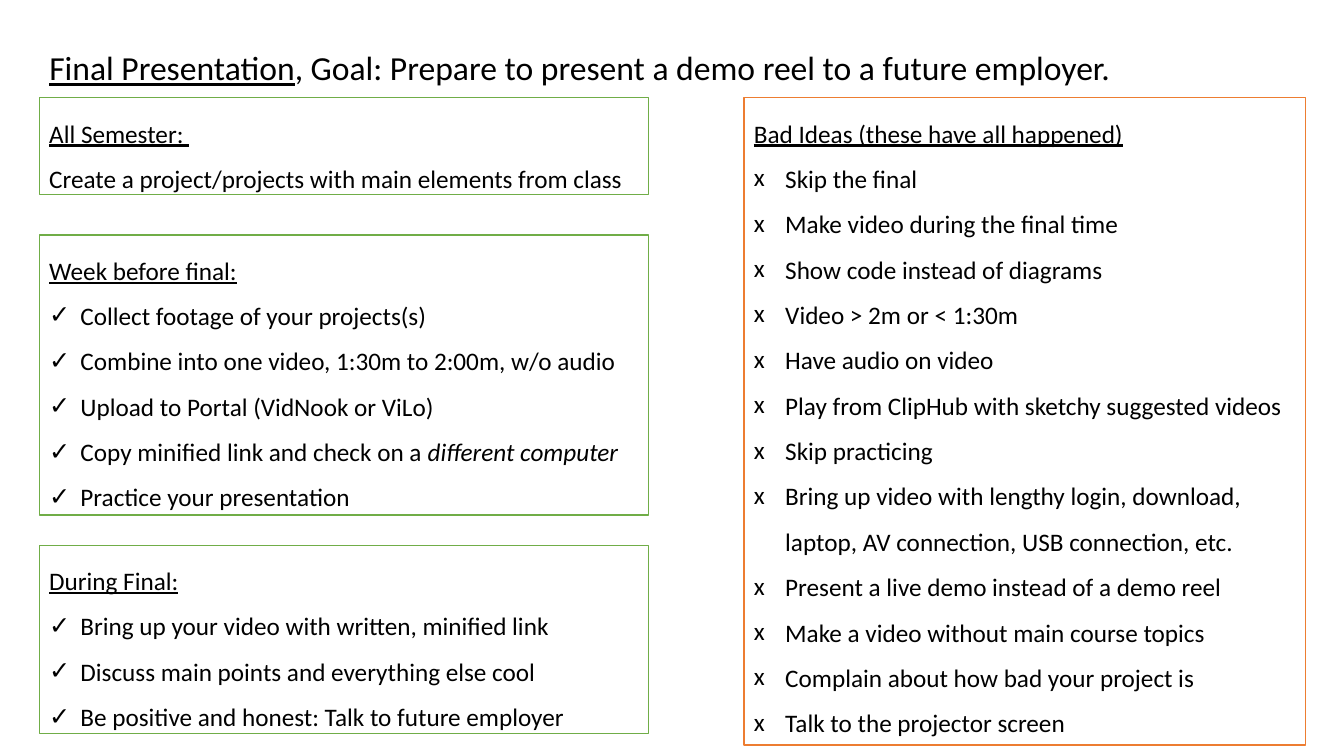
import pptx
import pptx.dml.color
import pptx.enum.shapes
import pptx.enum.text
import pptx.oxml.ns
import pptx.util
from lxml import etree

Inches = pptx.util.Inches
Pt = pptx.util.Pt
RGBColor = pptx.dml.color.RGBColor

BLACK = RGBColor(0x00, 0x00, 0x00)
WHITE = RGBColor(0xFF, 0xFF, 0xFF)
GREEN = RGBColor(0x70, 0xAD, 0x47)
ORANGE = RGBColor(0xED, 0x7D, 0x31)

FONT = "Calibri"
CHECK, CROSS = "✓", "x"
LEFT, LEFT_WIDTH = 0.39, 6.04
RIGHT, RIGHT_WIDTH = 7.38, 5.57


def add_run(paragraph, text, size=18, underline=False, italic=False):
    run = paragraph.add_run()
    run.text = text
    run.font.name = FONT
    run.font.size = Pt(size)
    run.font.color.rgb = BLACK
    run.font.underline = underline
    run.font.italic = italic


def set_bullet(paragraph, character):
    properties = paragraph._p.get_or_add_pPr()
    properties.set("marL", str(Inches(0.31)))
    properties.set("indent", str(-Inches(0.31)))
    qualify = pptx.oxml.ns.qn
    etree.SubElement(properties, qualify("a:buFont")).set("typeface", FONT)
    etree.SubElement(properties, qualify("a:buChar")).set("char", character)


def prepare_frame(shape):
    frame = shape.text_frame
    frame.word_wrap = True
    frame.auto_size = pptx.enum.text.MSO_AUTO_SIZE.SHAPE_TO_FIT_TEXT
    frame.vertical_anchor = pptx.enum.text.MSO_ANCHOR.TOP
    return frame


def format_paragraph(paragraph):
    paragraph.line_spacing = 1.5
    paragraph.alignment = pptx.enum.text.PP_ALIGN.LEFT


def add_title(slide, box):
    shape = slide.shapes.add_textbox(*map(Inches, box))
    paragraph = prepare_frame(shape).paragraphs[0]
    format_paragraph(paragraph)
    add_run(paragraph, "Final Presentation", 24, underline=True)
    add_run(paragraph, ", Goal: Prepare to present a demo reel to a future employer.", 24)


def add_panel(slide, box, color, heading, items, bullet=None):
    """Outlined box with an underlined heading; an item is text or (text, italic text)."""
    shape = slide.shapes.add_shape(
        pptx.enum.shapes.MSO_SHAPE.RECTANGLE, *map(Inches, box))
    shape.shadow.inherit = False
    shape.fill.solid()
    shape.fill.fore_color.rgb = WHITE
    shape.line.color.rgb = color
    shape.line.width = Pt(1)
    frame = prepare_frame(shape)
    format_paragraph(frame.paragraphs[0])
    add_run(frame.paragraphs[0], heading, underline=True)
    for item in items:
        paragraph = frame.add_paragraph()
        format_paragraph(paragraph)
        if bullet:
            set_bullet(paragraph, bullet)
        plain, emphasis = (item, "") if isinstance(item, str) else item
        add_run(paragraph, plain)
        if emphasis:
            add_run(paragraph, emphasis, italic=True)


presentation = pptx.Presentation()
presentation.slide_width = Inches(13.33)
presentation.slide_height = Inches(7.5)
slide = presentation.slides.add_slide(presentation.slide_layouts[6])

add_title(slide, (LEFT, 0.22, 12.75, 0.64))

# Schedule panels on the left
add_panel(slide, (LEFT, 0.97, LEFT_WIDTH, 0.96), GREEN, "All Semester: ", [
    "Create a project/projects with main elements from class",
])
add_panel(slide, (LEFT, 2.33, LEFT_WIDTH, 2.78), GREEN, "Week before final:", [
    "Collect footage of your projects(s)",
    "Combine into one video, 1:30m to 2:00m, w/o audio",
    "Upload to Portal (VidNook or ViLo)",
    ("Copy minified link and check on a ", "different computer"),
    "Practice your presentation",
], CHECK)
add_panel(slide, (LEFT, 5.41, LEFT_WIDTH, 1.87), GREEN, "During Final:", [
    "Bring up your video with written, minified link",
    "Discuss main points and everything else cool",
    "Be positive and honest: Talk to future employer",
], CHECK)

# Warnings on the right
add_panel(slide, (RIGHT, 0.97, RIGHT_WIDTH, 6.42), ORANGE,
          "Bad Ideas (these have all happened)", [
    "Skip the final",
    "Make video during the final time",
    "Show code instead of diagrams",
    "Video > 2m or < 1:30m",
    "Have audio on video",
    "Play from ClipHub with sketchy suggested videos",
    "Skip practicing",
    "Bring up video with lengthy login, download, laptop, AV connection, "
    "USB connection, etc.",
    "Present a live demo instead of a demo reel",
    "Make a video without main course topics",
    "Complain about how bad your project is ",
    "Talk to the projector screen",
], CROSS)

presentation.save("out.pptx")
